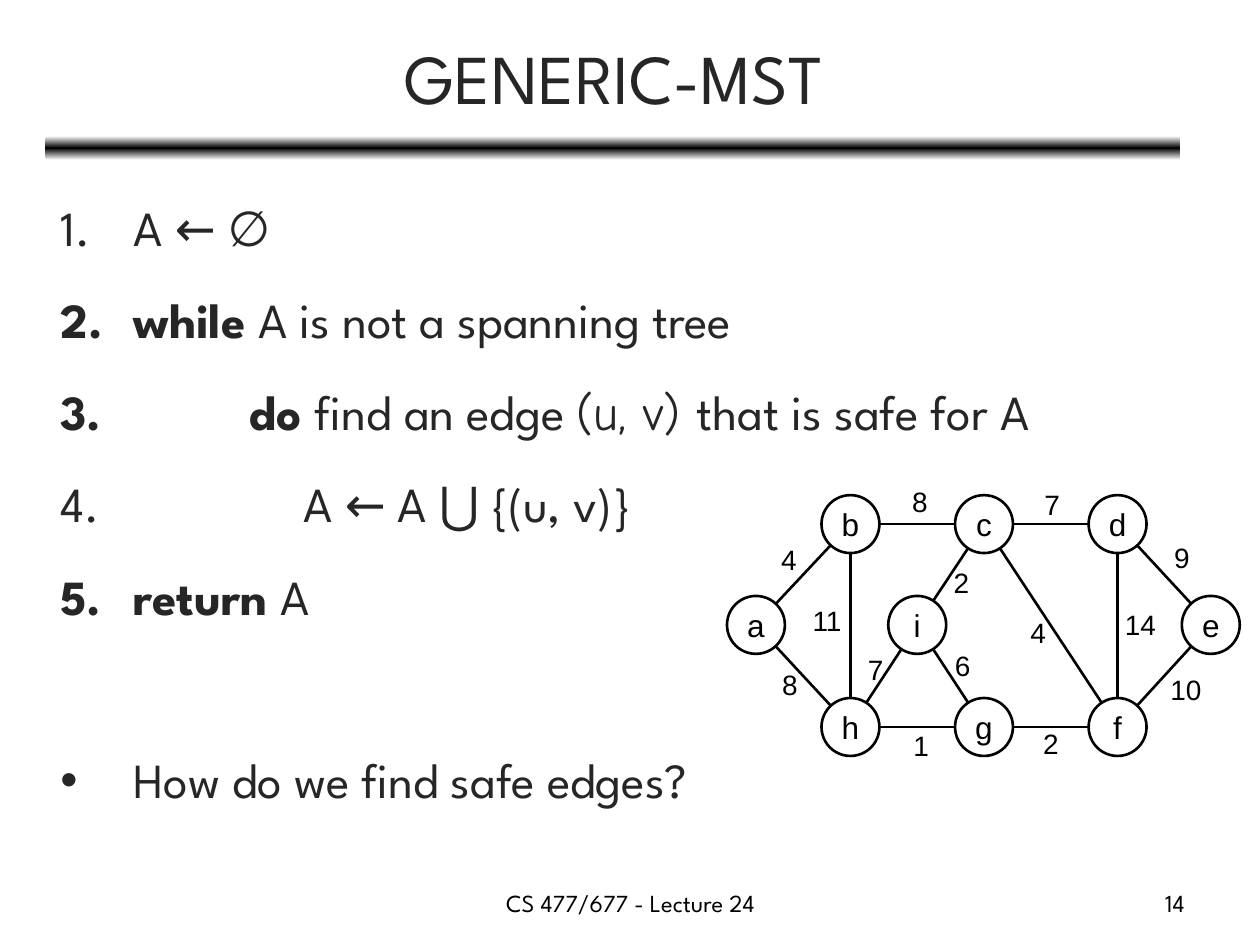
import copy
import math

import pptx
import pptx.util
import pptx.dml.color
import pptx.enum.shapes
import pptx.enum.text
import pptx.oxml.ns
from lxml import etree

Inches, Pt = pptx.util.Inches, pptx.util.Pt
SHAPE = pptx.enum.shapes.MSO_SHAPE
ALIGN = pptx.enum.text.PP_ALIGN
ANCHOR = pptx.enum.text.MSO_ANCHOR
AUTO = pptx.enum.text.MSO_AUTO_SIZE
qn = pptx.oxml.ns.qn

BLACK = pptx.dml.color.RGBColor(0x00, 0x00, 0x00)
WHITE = pptx.dml.color.RGBColor(0xFF, 0xFF, 0xFF)
DARK = pptx.dml.color.RGBColor(0x26, 0x26, 0x26)


def add_run(p, text, color, **formats):
    r = p.add_run()
    r.text = text
    for name, value in formats.items():
        setattr(r.font, name, value)
    r.font.color.rgb = color


def add_label(x, y, w, h, text, align, wrap, **formats):
    tf = s.shapes.add_textbox(Inches(x), Inches(y), Inches(w), Inches(h)).text_frame
    tf.word_wrap = wrap
    p = tf.paragraphs[0]
    p.alignment = align
    add_run(p, text, BLACK, **formats)


prs = pptx.Presentation()
prs.slide_width, prs.slide_height = Inches(10), Inches(7.5)
s = prs.slides.add_slide(prs.slide_layouts[1])

# Gradient bar under the title
bar = s.shapes.add_shape(SHAPE.ROUNDED_RECTANGLE, Inches(0.36), Inches(1.08),
                         Inches(9.01), Inches(0.19))
bar.shadow.inherit = False
bar.line.fill.background()
bar.fill.gradient()
bar.fill.gradient_angle = 90
stop_list = bar._element.spPr.find(".//" + qn("a:gsLst"))
stop_list.append(copy.deepcopy(stop_list[0]))
for stop, position, color in zip(bar.fill.gradient_stops, (0, 0.5, 1), (WHITE, BLACK, WHITE)):
    stop.position = position
    stop.color.rgb = color

# Title and body placeholders
title, body = s.shapes.title, s.placeholders[1]
for sp, box in ((title, (0.37, 0.11, 9, 0.99)), (body, (0.38, 1.33, 9, 5.55))):
    sp.left, sp.top, sp.width, sp.height = map(Inches, box)
    sp.text_frame.auto_size = AUTO.NONE
title.text_frame.vertical_anchor = ANCHOR.MIDDLE
p = title.text_frame.paragraphs[0]
p.alignment = ALIGN.CENTER
add_run(p, "GENERIC-MST", DARK, size=Pt(40), name="League Spartan")

# Algorithm steps: bullet, text indent, space before, runs of (text, bold, font)
SPARTAN, COMIC = "League Spartan", "Comic Neue"
steps = [
    ("1.", 0.58, 0, [("A ← ∅", False, SPARTAN)]),
    ("2.", 0.58, 5.6, [("while ", True, SPARTAN), ("A is not a spanning tree", False, SPARTAN)]),
    ("3.", 1.5, 5.6, [("do ", True, SPARTAN), ("find an edge ", False, SPARTAN),
                      ("(u, v) ", False, COMIC), ("that is safe for A", False, SPARTAN)]),
    ("4.", 1.93, 5.6, [("A ← A ⋃ {(u, v)}", False, SPARTAN)]),
    ("5.", 0.58, 5.6, [("return ", True, SPARTAN), ("A", False, SPARTAN)]),
    ("•", 0.58, 58, [("How do we find safe edges?", False, SPARTAN)]),
]
tf = body.text_frame
for n, (bullet, indent, before, runs) in enumerate(steps):
    p = tf.add_paragraph() if n else tf.paragraphs[0]
    p.line_spacing = 1.4
    p.space_before = Pt(before)
    pPr = p._p.get_or_add_pPr()
    pPr.set("marL", str(Inches(indent)))
    pPr.set("indent", str(-Inches(indent)))
    if bullet == "•":
        etree.SubElement(pPr, qn("a:buChar"), char=bullet)
    else:
        etree.SubElement(pPr, qn("a:buAutoNum"), type="arabicPeriod")
    for text, bold, font in runs:
        add_run(p, text, DARK, size=Pt(28), name=font, bold=bold)

# Graph nodes, by centre
RADIUS = 0.23
left, middle, right = 6.75, 7.81, 8.87
top, centre, bottom = 4.16, 4.96, 5.77
nodes = {
    "a": (6, centre), "b": (left, top), "c": (middle, top), "d": (right, top),
    "e": (9.61, centre), "h": (left, bottom), "g": (middle, bottom),
    "f": (right, bottom), "i": (7.28, centre),
}
for name, (x, y) in nodes.items():
    sp = s.shapes.add_shape(SHAPE.OVAL, Inches(x - RADIUS), Inches(y - RADIUS),
                            Inches(2 * RADIUS), Inches(2 * RADIUS))
    sp.shadow.inherit = False
    sp.fill.background()
    sp.line.color.rgb = BLACK
    sp.line.width = Pt(1.5)
    tf = sp.text_frame
    tf.word_wrap = False
    tf.vertical_anchor = ANCHOR.MIDDLE
    p = tf.paragraphs[0]
    p.alignment = ALIGN.CENTER
    add_run(p, name, BLACK, size=Pt(18), name="Arial")

# Edges run from rim to rim; each has its weight and the weight's place
edges = [
    ("ab", "4", 6.1, 4.26), ("bc", "8", 7.14, 3.8), ("cd", "7", 8.19, 3.82),
    ("ah", "8", 6.11, 5.25), ("bh", "11", 6.35, 4.74), ("hg", "1", 7.15, 5.73),
    ("gf", "2", 8.18, 5.72), ("hi", "7", 6.79, 5.13), ("ic", "2", 7.47, 4.44),
    ("cf", "4", 8.08, 4.84), ("df", "14", 8.83, 4.77), ("de", "9", 9.22, 4.24),
    ("fe", "10", 9.19, 5.29), ("ig", "6", 7.48, 5.1),
]
for (start, end), weight, x, y in edges:
    (x1, y1), (x2, y2) = nodes[start], nodes[end]
    length = math.hypot(x2 - x1, y2 - y1)
    dx, dy = (x2 - x1) * RADIUS / length, (y2 - y1) * RADIUS / length
    line = s.shapes.add_connector(pptx.enum.shapes.MSO_CONNECTOR.STRAIGHT,
                                  Inches(x1 + dx), Inches(y1 + dy),
                                  Inches(x2 - dx), Inches(y2 - dy))
    line.line.color.rgb = BLACK
    line.line.width = Pt(1.5)
    etree.SubElement(line._element.spPr, qn("a:effectLst"))
    add_label(x, y, 0.32 if len(weight) == 1 else 0.45, 0.37, weight, ALIGN.LEFT, False,
              size=Pt(16), name="Arial")

# Footer and slide number
for x, w, text, align in ((3.42, 3.17, "CS 477/677 - Lecture 24", ALIGN.CENTER),
                          (7.17, 2.33, "14", ALIGN.RIGHT)):
    add_label(x, 7, w, 0.35, text, align, True, size=Pt(14), name="League Spartan")

prs.save("out.pptx")
